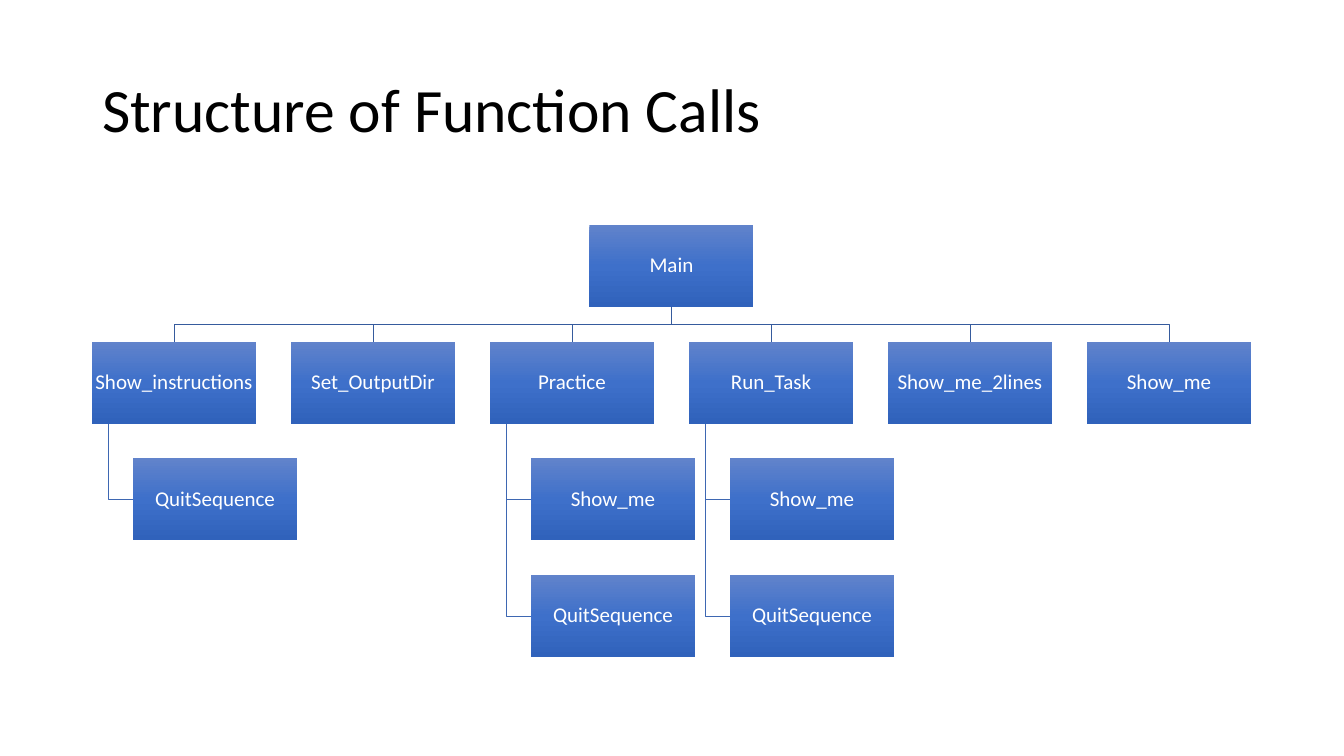
from copy import deepcopy
from pptx import Presentation, util as u
from pptx.dml.color import RGBColor
from pptx.enum import shapes, text
from pptx.oxml import ns

SLIDE_W, SLIDE_H = 1344, 756
EMU_PER_PX = u.Inches(7.5) / SLIDE_H

BLACK = RGBColor(0x00, 0x00, 0x00)
WHITE = RGBColor(0xFF, 0xFF, 0xFF)
BOX_TOP = RGBColor(0x61, 0x83, 0xCB)
BOX_MIDDLE = RGBColor(0x3E, 0x70, 0xCA)
BOX_BOTTOM = RGBColor(0x30, 0x62, 0xBB)
MAIN_LINE = RGBColor(0x36, 0x5B, 0x9D)
CALL_LINE = RGBColor(0x3E, 0x67, 0xB2)

FONT = "Calibri"
BOX_W, BOX_H = 164, 82
CALLS = [
    ("Show_instructions", ["QuitSequence"]),
    ("Set_OutputDir", []),
    ("Practice", ["Show_me", "QuitSequence"]),
    ("Run_Task", ["Show_me", "QuitSequence"]),
    ("Show_me_2lines", []),
    ("Show_me", []),
]


def px(length):
    return u.Emu(round(length * EMU_PER_PX))


def write(frame, wording, size, color, align, margins=None):
    frame.word_wrap = True
    frame.auto_size = text.MSO_AUTO_SIZE.NONE
    frame.vertical_anchor = text.MSO_ANCHOR.MIDDLE
    if margins is not None:
        frame.margin_left = frame.margin_right = px(margins)
        frame.margin_top = frame.margin_bottom = px(margins)
    line = frame.paragraphs[0]
    line.alignment = align
    line.line_spacing = 0.9
    run = line.add_run()
    run.text = wording
    run.font.name = FONT
    run.font.size = u.Pt(size)
    run.font.color.rgb = color


def add_title(slide, left, top, width, height):
    title = slide.shapes.title
    title.left, title.top = px(left), px(top)
    title.width, title.height = px(width), px(height)
    write(title.text_frame, "Structure of Function Calls", 44, BLACK,
          text.PP_ALIGN.LEFT)


def fill_gradient(box):
    box.fill.gradient()
    box.fill.gradient_angle = 270
    stop_list = box._element.spPr.find(".//" + ns.qn("a:gsLst"))
    stop_list.insert(1, deepcopy(stop_list[0]))
    colors = (BOX_TOP, BOX_MIDDLE, BOX_BOTTOM)
    for stop, color, position in zip(box.fill.gradient_stops, colors, (0, 0.5, 1)):
        stop.color.rgb = color
        stop.position = position


def add_function(slide, name, left, top):
    box = slide.shapes.add_shape(shapes.MSO_SHAPE.RECTANGLE, px(left), px(top),
                                 px(BOX_W), px(BOX_H))
    box.shadow.inherit = False
    fill_gradient(box)
    box.line.fill.background()
    write(box.text_frame, name, 15, WHITE, text.PP_ALIGN.CENTER, margins=1)


def add_branch(slide, points, color):
    start, *rest = [(px(x), px(y)) for x, y in points]
    builder = slide.shapes.build_freeform(*start)
    builder.add_line_segments(rest, close=False)
    branch = builder.convert_to_shape()
    branch.shadow.inherit = False
    branch.fill.background()
    branch.line.color.rgb = color
    branch.line.width = u.Pt(0.5)


def add_call_tree(slide, left, top, width, height):
    column_step = (width - BOX_W) / (len(CALLS) - 1)
    row_step = (height - BOX_H) / 3
    gap = row_step - BOX_H
    center = left + width / 2
    main_bottom = top + BOX_H
    caller_top = top + row_step
    caller_bottom = caller_top + BOX_H

    add_function(slide, "Main", center - BOX_W / 2, top)
    for column, (caller, callees) in enumerate(CALLS):
        caller_left = left + column * column_step
        caller_center = caller_left + BOX_W / 2
        elbow = main_bottom + gap / 2
        add_branch(slide, [(center, main_bottom), (center, elbow),
                           (caller_center, elbow), (caller_center, caller_top)],
                   MAIN_LINE)
        add_function(slide, caller, caller_left, caller_top)

        trunk = caller_left + BOX_W / 10
        callee_left = caller_left + BOX_W / 4
        for row, callee in enumerate(callees, start=1):
            callee_top = caller_top + row * row_step
            middle = callee_top + BOX_H / 2
            add_branch(slide, [(trunk, caller_bottom), (trunk, middle),
                               (callee_left, middle)], CALL_LINE)
            add_function(slide, callee, callee_left, callee_top)


def main():
    deck = Presentation()
    deck.slide_width, deck.slide_height = px(SLIDE_W), px(SLIDE_H)
    slide = deck.slides.add_slide(deck.slide_layouts[5])
    add_title(slide, 92, 40, 1159, 146)
    add_call_tree(slide, 92, 225, 1159, 432)
    deck.save("out.pptx")


if __name__ == "__main__":
    main()
